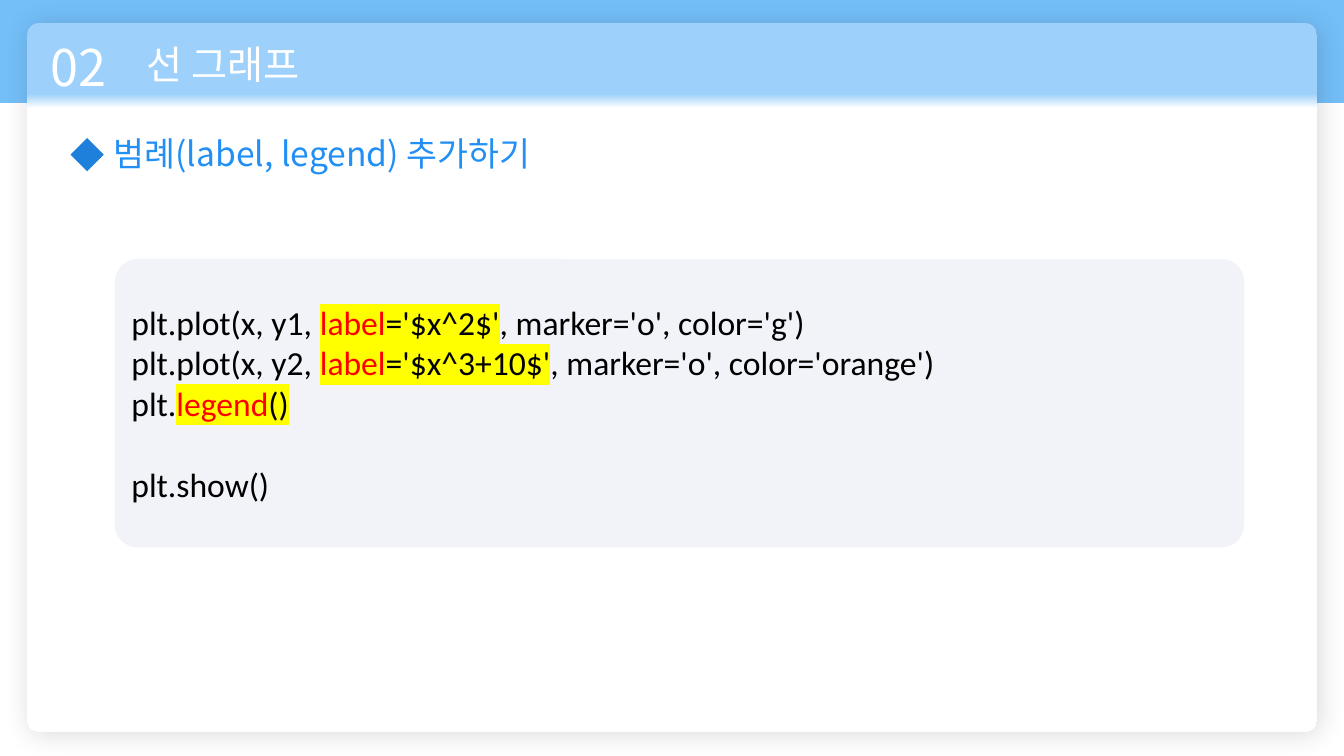
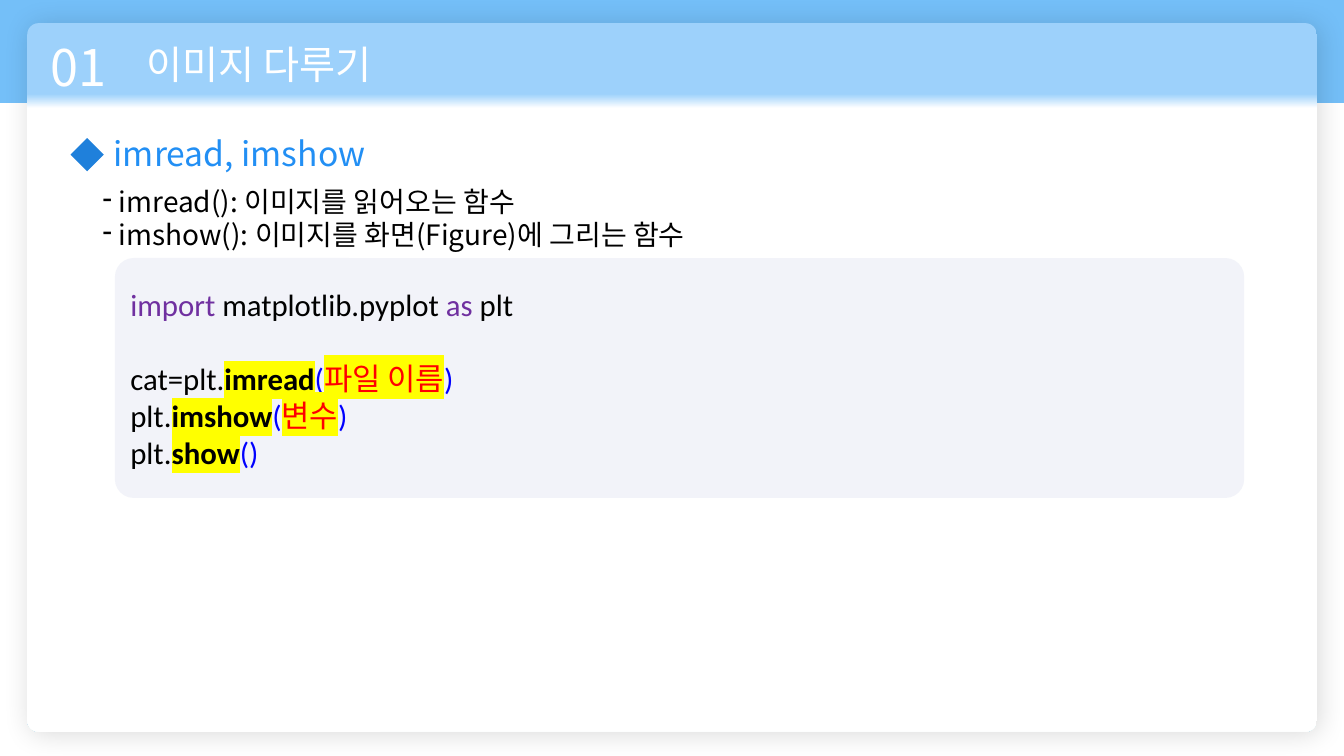
from lxml import etree
from pptx import Presentation
from pptx.dml.color import RGBColor
from pptx.enum import shapes, text
from pptx.oxml import ns
from pptx.util import Inches, Pt

COLORS = {
    "band": "74BFF8", "header": "9DD1FB", "white": "FFFFFF", "black": "000000",
    "heading": "228FF4", "diamond": "1F80DB", "code_bg": "F2F3F9",
    "red": "FF0000", "purple": "7030A0", "blue": "0000FF", "marker": "FFFF00",
}
KOREAN_FONT, CODE_FONT = "Noto Sans CJK KR", "Calibri"
KOREAN_LEADING, CODE_LEADING = 1.18, 1.22

# Code run styles: colour, bold, highlighted
CODE_STYLES = {
    "plain": ("black", False, False),
    "keyword": ("purple", False, False),
    "bracket": ("blue", False, False),
    "argument": ("red", False, True),
    "marked": ("black", False, True),
    "function": ("black", True, True),
}


def rgb(name):
    return RGBColor.from_string(COLORS[name])


def add_xml(parent, tag, **attributes):
    return etree.SubElement(parent, ns.qn(tag), attributes)


class Deck:
    def __init__(self):
        self.prs = Presentation()
        self.prs.slide_width, self.prs.slide_height = Inches(13.33), Inches(7.5)
        self.slide = None

    def shape(self, kind, box, color, corner=None):
        shape = self.slide.shapes.add_shape(kind, *map(Inches, box))
        shape.shadow.inherit = False
        shape.line.fill.background()
        shape.fill.solid()
        shape.fill.fore_color.rgb = rgb(color)
        if corner is not None:
            shape.adjustments[0] = corner
        return shape

    def card(self):
        card = self.shape(shapes.MSO_SHAPE.ROUNDED_RECTANGLE,
                          (0.27, 0.23, 12.79, 7.03), "white", 0.016)
        card.fill.gradient()
        card.fill.gradient_angle = 270
        stops = card.fill.gradient_stops
        for stop, position, color in zip(stops, (0.10, 0.12), ("header", "white")):
            stop.position = position
            stop.color.rgb = rgb(color)
        effects = card._element.spPr.find(ns.qn("a:effectLst"))
        shadow = add_xml(effects, "a:outerShdw", blurRad=str(Pt(20)),
                         dist=str(Pt(3)), dir=str(45 * 60000), rotWithShape="0")
        tint = add_xml(shadow, "a:srgbClr", val=COLORS["black"])
        add_xml(tint, "a:alpha", val="14000")

    def label(self, lines, box, size, color, dashed=False):
        frame = self.slide.shapes.add_textbox(*map(Inches, box)).text_frame
        frame.word_wrap = True
        frame.text = "\n".join(lines)
        for paragraph in frame.paragraphs:
            if dashed:
                properties = paragraph._p.get_or_add_pPr()
                properties.set("marL", str(Inches(0.16)))
                properties.set("indent", str(-Inches(0.16)))
                add_xml(properties, "a:buChar", char="-")
            paragraph.line_spacing = Pt(round(size * KOREAN_LEADING, 1))
            for run in paragraph.runs:
                run.font.size = Pt(size)
                run.font.color.rgb = rgb(color)
                run.font.name = KOREAN_FONT
                add_xml(run._r.get_or_add_rPr(), "a:ea", typeface=KOREAN_FONT)

    def new_slide(self, number, title, heading):
        self.slide = self.prs.slides.add_slide(self.prs.slide_layouts[6])
        # Band and card
        self.shape(shapes.MSO_SHAPE.RECTANGLE, (0, 0, 13.33, 1.02), "band")
        self.card()
        # Titles
        self.label([number], (0.4, 0.32, 1.02, 0.71), 36, "white")
        self.label([title], (1.36, 0.36, 4.9, 0.57), 28, "white")
        self.label([heading], (1.03, 1.28, 9.35, 0.5), 24, "heading")
        self.shape(shapes.MSO_SHAPE.DIAMOND, (0.7, 1.37, 0.33, 0.33), "diamond")

    def code(self, blocks, top, height, size):
        """Blocks of lines, parted by the height of one line."""
        panel = self.shape(shapes.MSO_SHAPE.ROUNDED_RECTANGLE,
                           (1.14, top, 11.2, height), "code_bg", 0.078)
        frame = panel.text_frame
        frame.word_wrap = True
        frame.vertical_anchor = text.MSO_ANCHOR.MIDDLE
        lines = [(line, block > 0 and row == 0)
                 for block, rows in enumerate(blocks) for row, line in enumerate(rows)]
        for index, (line, starts_block) in enumerate(lines):
            paragraph = frame.add_paragraph() if index else frame.paragraphs[0]
            paragraph.alignment = text.PP_ALIGN.LEFT
            if starts_block:
                paragraph.space_before = Pt(round(size * CODE_LEADING, 1))
            for words, style in line:
                self.code_run(paragraph, words, style, size)

    def code_run(self, paragraph, words, style, size):
        color, bold, highlighted = CODE_STYLES[style]
        run = paragraph.add_run()
        run.text = words
        run.font.size, run.font.bold = Pt(size), bold
        run.font.color.rgb = rgb(color)
        if highlighted:
            highlight = add_xml(run._r.get_or_add_rPr(), "a:highlight")
            add_xml(highlight, "a:srgbClr", val=COLORS["marker"])
        run.font.name = CODE_FONT


def plot_line(series, formula, color):
    return [(f"plt.plot(x, {series}, ", "plain"), ("label", "argument"),
            (f"='{formula}'", "marked"), (f", marker='o', color='{color}')", "plain")]


def call_line(prefix, function, argument):
    return [(prefix, "plain"), (function, "function"), ("(", "bracket"),
            (argument, "argument"), (")", "bracket")]


def main():
    deck = Deck()

    # Legend of a line chart
    deck.new_slide("02", "선 그래프", "범례(label, legend) 추가하기")
    deck.code([
        [plot_line("y1", "$x^2$", "g"),
         plot_line("y2", "$x^3+10$", "orange"),
         [("plt.", "plain"), ("legend", "argument"), ("()", "marked")]],
        [[("plt.show()", "plain")]],
    ], top=2.57, height=2.86, size=24)

    # Reading and showing an image
    deck.new_slide("01", "이미지 다루기", "imread, imshow")
    deck.code([
        [[("import ", "keyword"), ("matplotlib.pyplot ", "plain"),
          ("as ", "keyword"), ("plt", "plain")]],
        [call_line("cat=plt.", "imread", "파일 이름"),
         call_line("plt.", "imshow", "변수"),
         [("plt.", "plain"), ("show", "function"), ("()", "bracket")]],
    ], top=2.56, height=2.38, size=22)
    deck.label(["imread(): 이미지를 읽어오는 함수",
                "imshow(): 이미지를 화면(Figure)에 그리는 함수"],
               (0.92, 1.79, 8.07, 0.77), 20, "black", dashed=True)

    deck.prs.save("out.pptx")


if __name__ == "__main__":
    main()
